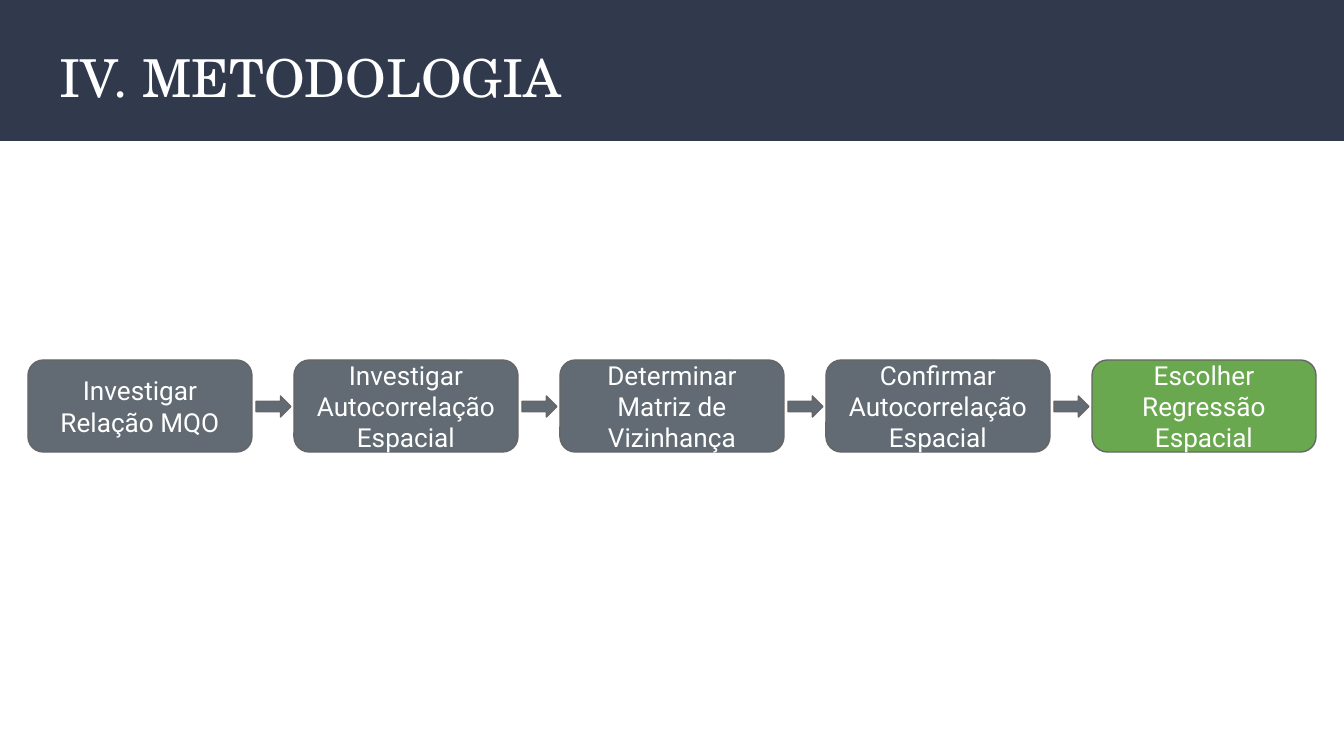
from pptx import Presentation
from pptx import util as u
from pptx.dml.color import RGBColor
from pptx.enum import shapes, text

NAVY = RGBColor(0x31, 0x39, 0x4D)
SLATE = RGBColor(0x62, 0x6B, 0x73)
GREEN = RGBColor(0x6A, 0xA8, 0x4F)
EDGE = RGBColor(0x66, 0x66, 0x66)
WHITE = RGBColor(0xFF, 0xFF, 0xFF)

SCALE = u.Inches(1) / 134.4  # EMU per px
KIND = shapes.MSO_SHAPE
ALIGN = text.PP_ALIGN
ANCHOR = text.MSO_ANCHOR


def px(n):
    return u.Emu(round(n * SCALE))


class Deck:
    head = "TeX Gyre Schola"
    body = "Roboto"

    def __init__(self, wide, high):
        self.prs = Presentation()
        self.prs.slide_width, self.prs.slide_height = px(wide), px(high)
        self.slide = self.prs.slides.add_slide(self.prs.slide_layouts[5])

    def label(self, shape, words, font, size, align, anchor):
        frame = shape.text_frame
        frame.text = words
        frame.word_wrap = True
        frame.auto_size = text.MSO_AUTO_SIZE.NONE
        frame.vertical_anchor = anchor
        frame.margin_left = frame.margin_right = u.Inches(0.1)
        frame.margin_top = frame.margin_bottom = u.Inches(0.1)
        para = frame.paragraphs[0]
        para.alignment = align
        style = para.runs[0].font
        style.name, style.size = font, u.Pt(size)
        style.color.rgb = WHITE

    def shape(self, kind, x, y, w, h, fill, edge=None):
        item = self.slide.shapes.add_shape(kind, px(x), px(y), px(w), px(h))
        item.shadow.inherit = False
        item.fill.solid()
        item.fill.fore_color.rgb = fill
        if edge is None:
            item.line.fill.background()
        else:
            item.line.color.rgb = edge
            item.line.width = u.Pt(0.75)
        return item

    def band(self, w, h):
        item = self.shape(KIND.RECTANGLE, 0, 0, w, h, NAVY)
        # Keep the band behind the title
        self.slide.shapes.title.element.addprevious(item.element)

    def title(self, words, x, y, w, h):
        item = self.slide.shapes.title
        item.left, item.top, item.width, item.height = map(px, (x, y, w, h))
        self.label(item, words, self.head, 28, ALIGN.LEFT, ANCHOR.TOP)

    def step(self, words, x, y, w, h, fill):
        item = self.shape(KIND.ROUNDED_RECTANGLE, x, y, w, h, fill, EDGE)
        self.label(item, words, self.body, 14, ALIGN.CENTER, ANCHOR.MIDDLE)

    def arrow(self, x, y, w, h):
        self.shape(KIND.RIGHT_ARROW, x, y, w, h, SLATE, EDGE)


def main():
    deck = Deck(1344, 756)

    # Header
    deck.band(1344, 141)
    deck.title("IV. METODOLOGIA", 46, 32, 1252, 92)

    # Flow of steps, the last one in green
    steps = [
        "Investigar Relação MQO",
        "Investigar Autocorrelação Espacial",
        "Determinar Matriz de Vizinhança",
        "Confirmar Autocorrelação Espacial",
        "Escolher Regressão Espacial",
    ]
    left, pitch, last = 28, 266, len(steps) - 1
    for i, words in enumerate(steps):
        x = left + i * pitch
        deck.step(words, x, 360, 224, 92, GREEN if i == last else SLATE)
        if i < last:
            deck.arrow(x + 228, 396, 35, 21)

    deck.prs.save("out.pptx")


if __name__ == "__main__":
    main()
